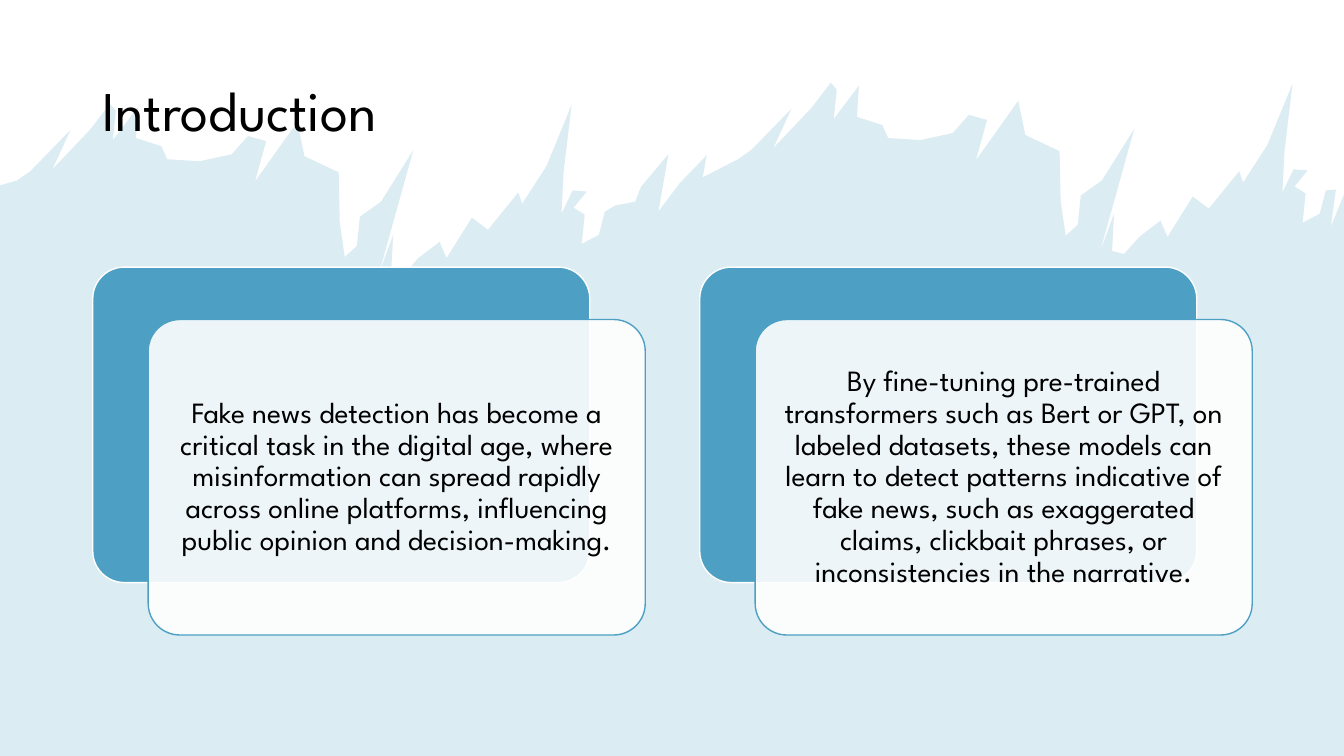
import pptx
import pptx.dml.color
import pptx.enum.shapes
import pptx.enum.text
import pptx.oxml
import pptx.oxml.ns
import pptx.util

Inches = pptx.util.Inches
Pt = pptx.util.Pt

HEADING = "Introduction"
STATEMENTS = [
    "Fake news detection has become a critical task in the digital age, where misinformation can spread "
    "rapidly across online platforms, influencing public opinion and decision-making.",
    "By fine-tuning pre-trained transformers such as Bert or GPT, on labeled datasets, these models can "
    "learn to detect patterns indicative of fake news, such as exaggerated claims, clickbait phrases, or "
    "inconsistencies in the narrative.",
]
FONT = "League Spartan"
COLORS = {"blue": "4DA0C3", "white": "FFFFFF", "black": "000000"}

SLIDE_W, SLIDE_H = 13.33, 7.5
CARD_W, CARD_H = 4.93, 3.13
CARD_LEFT, CARD_TOP, CARD_PITCH = 0.92, 2.65, 6.02
FRONT_SHIFT = (0.55, 0.52)

RIDGE_SHIFT = (7.15, -0.21)
RIDGE = [
    (0.17, 1.79), (0.3, 1.7), (0.7, 1.29), (0.52, 1.68), (0.9, 1.28), (1.09, 1.03), (1.15, 1.1),
    (1.12, 1.39), (1.37, 1.06), (1.35, 1.37), (1.6, 1.45), (1.66, 1.58), (1.98, 1.6), (2.3, 1.53),
    (2.46, 1.35), (2.64, 1.4), (2.53, 1.8), (2.95, 1.21), (3.02, 1.55), (3.36, 1.71), (3.37, 2.2),
    (3.42, 2.55), (3.54, 2.44), (3.57, 2.15), (3.78, 2), (4.1, 1.49), (3.76, 2.71), (3.9, 2.33),
    (3.88, 2.7), (4, 2.73), (4.15, 2.56), (4.36, 2.4), (4.43, 2.56), (4.68, 2.16), (4.84, 2.28),
    (5.14, 1.91), (5.18, 2.02), (5.42, 1.65), (5.67, 1.04), (5.59, 1.71), (5.57, 2.12), (5.68, 1.89),
    (5.82, 1.9), (5.69, 2.06), (5.8, 2.13), (5.77, 2.42), (5.94, 2.33), (6, 2.1),
]
RIDGE_BRIDGE = [
    (6.1, 2.04), (6.3, 2), (6.36, 1.85), (6.63, 1.53), (6.53, 2.1), (6.74, 1.82),
    (7.01, 1.54), (6.97, 1.76),
]
RIDGE_END = [(13.25, 1.88), (13.2, 2.25), (13.33, 1.93)]


def rgb(name):
    return pptx.dml.color.RGBColor.from_string(COLORS[name])


def paint(shape, color, opacity=100, outline=None):
    shape.shadow.inherit = False
    shape.fill.solid()
    shape.fill.fore_color.rgb = rgb(color)
    if opacity < 100:
        tint = shape._element.spPr.find(".//" + pptx.oxml.ns.qn("a:srgbClr"))
        alpha = pptx.oxml.parse_xml(f'<a:alpha {pptx.oxml.ns.nsdecls("a")} val="{opacity * 1000}"/>')
        tint.append(alpha)
    if outline:
        shape.line.color.rgb = rgb(outline)
        shape.line.width = Pt(1)
    else:
        shape.line.fill.background()


def write(frame, text, size, align):
    frame.word_wrap = True
    frame.auto_size = pptx.enum.text.MSO_AUTO_SIZE.NONE
    frame.vertical_anchor = pptx.enum.text.MSO_ANCHOR.MIDDLE
    paragraph = frame.paragraphs[0]
    paragraph.alignment = align
    paragraph.line_spacing = 0.9
    run = paragraph.add_run()
    run.text = text
    run.font.name = FONT
    run.font.size = Pt(size)
    run.font.color.rgb = rgb("black")


def add_card(shapes, left, top, color, outline, opacity=100):
    card = shapes.add_shape(pptx.enum.shapes.MSO_SHAPE.ROUNDED_RECTANGLE,
                            Inches(left), Inches(top), Inches(CARD_W), Inches(CARD_H))
    card.adjustments[0] = 0.1
    paint(card, color, opacity, outline)
    return card


def add_wave(shapes):
    dx, dy = RIDGE_SHIFT
    second_ridge = [(x + dx, y + dy) for x, y in RIDGE]
    outline = [(0, 1.84), *RIDGE, *RIDGE_BRIDGE, *second_ridge, *RIDGE_END, (SLIDE_W, SLIDE_H), (0, SLIDE_H)]
    corners = [(Inches(x), Inches(y)) for x, y in outline]
    builder = shapes.build_freeform(*corners[0], scale=1.0)
    builder.add_line_segments(corners[1:], close=True)
    paint(builder.convert_to_shape(), "blue", 20)


def main():
    deck = pptx.Presentation()
    deck.slide_width, deck.slide_height = Inches(SLIDE_W), Inches(SLIDE_H)
    slide = deck.slides.add_slide(deck.slide_layouts[5])
    slide.background.fill.solid()
    slide.background.fill.fore_color.rgb = rgb("white")
    add_wave(slide.shapes)

    heading = slide.shapes.title
    heading.left, heading.top = Inches(0.92), Inches(0.4)
    heading.width, heading.height = Inches(11.5), Inches(1.45)
    write(heading.text_frame, HEADING, 40, pptx.enum.text.PP_ALIGN.LEFT)
    slide.shapes._spTree.append(heading._element)

    for index, statement in enumerate(STATEMENTS):
        left = CARD_LEFT + index * CARD_PITCH
        add_card(slide.shapes, left, CARD_TOP, "blue", "white")
        front = add_card(slide.shapes, left + FRONT_SHIFT[0], CARD_TOP + FRONT_SHIFT[1], "white", "blue", 90)
        frame = front.text_frame
        frame.margin_left = frame.margin_right = frame.margin_top = frame.margin_bottom = Inches(0.09)
        write(frame, statement, 21, pptx.enum.text.PP_ALIGN.CENTER)

    deck.save("out.pptx")


if __name__ == "__main__":
    main()
